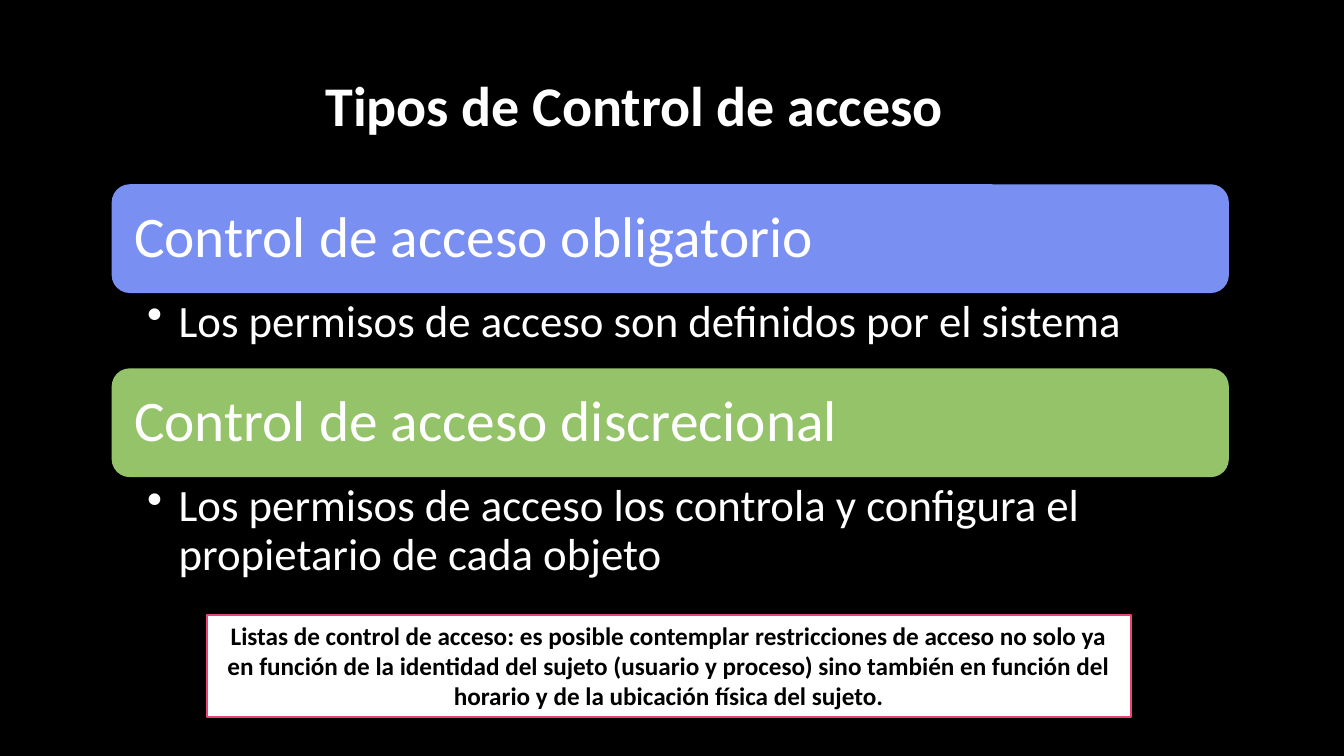
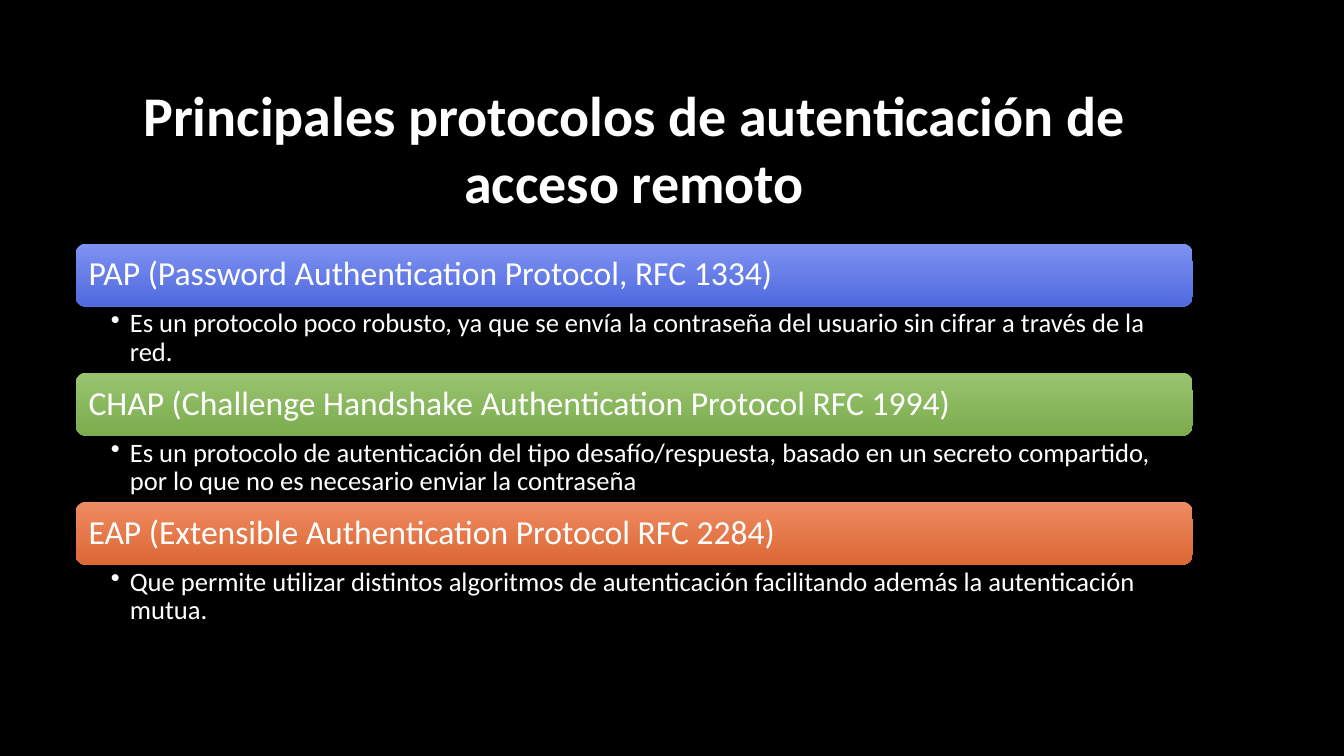
from dataclasses import dataclass
from lxml.etree import SubElement
from pptx import Presentation
from pptx.dml.color import RGBColor as RGB
from pptx.enum.shapes import MSO_SHAPE as SHAPE
from pptx.enum.text import MSO_ANCHOR as ANCHOR, MSO_AUTO_SIZE as AUTO, PP_ALIGN as ALIGN
from pptx.oxml.ns import qn
from pptx.util import Pt


@dataclass(frozen=True)
class Theme:
    font: str = "Calibri"
    black: str = "000000"
    white: str = "FFFFFF"
    pink: str = "E84574"
    blue: tuple = ("798FF2",)
    green: tuple = ("95C369",)
    blue_fade: tuple = ("7E92F2", "506ADE")
    green_fade: tuple = ("98C46F", "7CAC4E")
    orange_fade: tuple = ("EE8B61", "DC6835")
    title: int = 40
    note: int = 18


T = Theme()
LEFT, WIDTH, TITLE_H = 54, 798, 114.5


def set_frame(tf, anchor, margins):
    tf.word_wrap = True
    tf.auto_size = AUTO.NONE
    tf.vertical_anchor = anchor
    tf.margin_left, tf.margin_top, tf.margin_right, tf.margin_bottom = map(Pt, margins)


def add_text(p, text, size, align=ALIGN.LEFT, color=T.white, bold=False):
    p.alignment = align
    r = p.add_run()
    r.text = text
    r.font.name = T.font
    r.font.size = Pt(size)
    r.font.bold = bold
    r.font.color.rgb = RGB.from_string(color)


slides = [
    {
        "title": "Tipos de Control de acceso", "title_top": 17.3,
        "left": 79.8, "top": 131.6, "bar_h": 77.7, "bar_size": 41, "bar_inset": 12.2,
        "detail_size": 32, "detail_margins": (25.3, 4.1, 22.8, 4.1), "indent": 22.5,
        "items": [
            (T.blue, "Control de acceso obligatorio", 53.8,
             "Los permisos de acceso son definidos por el sistema"),
            (T.green, "Control de acceso discrecional", 78.6,
             "Los permisos de acceso los controla y configura el propietario de cada objeto"),
        ],
        "note": "Listas de control de acceso: es posible contemplar restricciones de acceso "
                "no solo ya en función de la identidad del sujeto (usuario y proceso) sino "
                "también en función del horario y de la ubicación física del sujeto.",
    },
    {
        "title": "Principales protocolos de autenticación de acceso remoto", "title_top": 48.2,
        "left": LEFT, "top": 174, "bar_h": 45, "bar_size": 24, "bar_inset": 7.2,
        "detail_size": 19, "detail_margins": (25.3, 2.4, 13.7, 2.4), "indent": 13.5,
        "items": [
            (T.blue_fade, "PAP (Password Authentication Protocol, RFC 1334)", 47.2,
             "Es un protocolo poco robusto, ya que se envía la contraseña del usuario "
             "sin cifrar a través de la red."),
            (T.green_fade, "CHAP (Challenge Handshake Authentication Protocol RFC 1994)", 47.2,
             "Es un protocolo de autenticación del tipo desafío/respuesta, basado en un "
             "secreto compartido, por lo que no es necesario enviar la contraseña"),
            (T.orange_fade, "EAP (Extensible Authentication Protocol RFC 2284)", 47.2,
             "Que permite utilizar distintos algoritmos de autenticación facilitando "
             "además la autenticación mutua."),
        ],
        "note": None,
    },
]

prs = Presentation()
prs.slide_width, prs.slide_height = Pt(960), Pt(540)
background = prs.slide_master.background.fill
background.solid()
background.fore_color.rgb = RGB.from_string(T.black)

for data in slides:
    s = prs.slides.add_slide(prs.slide_layouts[5])
    title = s.shapes.title
    title.left, title.top = Pt(LEFT), Pt(data["title_top"])
    title.width, title.height = Pt(WIDTH), Pt(TITLE_H)
    set_frame(title.text_frame, ANCHOR.MIDDLE, (7.2, 3.6, 7.2, 3.6))
    add_text(title.text_frame.paragraphs[0], data["title"], T.title, ALIGN.CENTER, bold=True)

    left, top, bar_h = data["left"], data["top"], data["bar_h"]
    for colors, heading, detail_h, detail in data["items"]:
        bar = s.shapes.add_shape(SHAPE.ROUNDED_RECTANGLE, Pt(left), Pt(top), Pt(WIDTH), Pt(bar_h))
        bar.shadow.inherit = False
        bar.line.fill.background()
        if len(colors) == 1:
            bar.fill.solid()
            bar.fill.fore_color.rgb = RGB.from_string(colors[0])
        else:
            bar.fill.gradient()
            bar.fill.gradient_angle = 270
            for stop, color in zip(bar.fill.gradient_stops, colors):
                stop.color.rgb = RGB.from_string(color)
        set_frame(bar.text_frame, ANCHOR.MIDDLE, [data["bar_inset"]] * 4)
        p = bar.text_frame.paragraphs[0]
        p.line_spacing = 0.9
        add_text(p, heading, data["bar_size"])
        top += bar_h

        box = s.shapes.add_textbox(Pt(left), Pt(top), Pt(WIDTH), Pt(detail_h))
        set_frame(box.text_frame, ANCHOR.TOP, data["detail_margins"])
        p = box.text_frame.paragraphs[0]
        pPr = p._p.get_or_add_pPr()
        pPr.set("marL", str(Pt(data["indent"])))
        pPr.set("indent", str(-Pt(data["indent"])))
        SubElement(pPr, qn("a:buChar"), char="•")
        p.line_spacing = 0.9
        add_text(p, detail, data["detail_size"])
        top += detail_h

    if data["note"]:
        note = s.shapes.add_shape(SHAPE.RECTANGLE, Pt(147.6), Pt(439.2), Pt(660.2), Pt(72.7))
        note.shadow.inherit = False
        note.fill.solid()
        note.fill.fore_color.rgb = RGB.from_string(T.white)
        note.line.color.rgb = RGB.from_string(T.pink)
        note.line.width = Pt(1.5)
        set_frame(note.text_frame, ANCHOR.TOP, (7.2, 3.6, 7.2, 3.6))
        note.text_frame.auto_size = AUTO.SHAPE_TO_FIT_TEXT
        add_text(note.text_frame.paragraphs[0], data["note"], T.note, ALIGN.CENTER, T.black, True)

prs.save("out.pptx")
